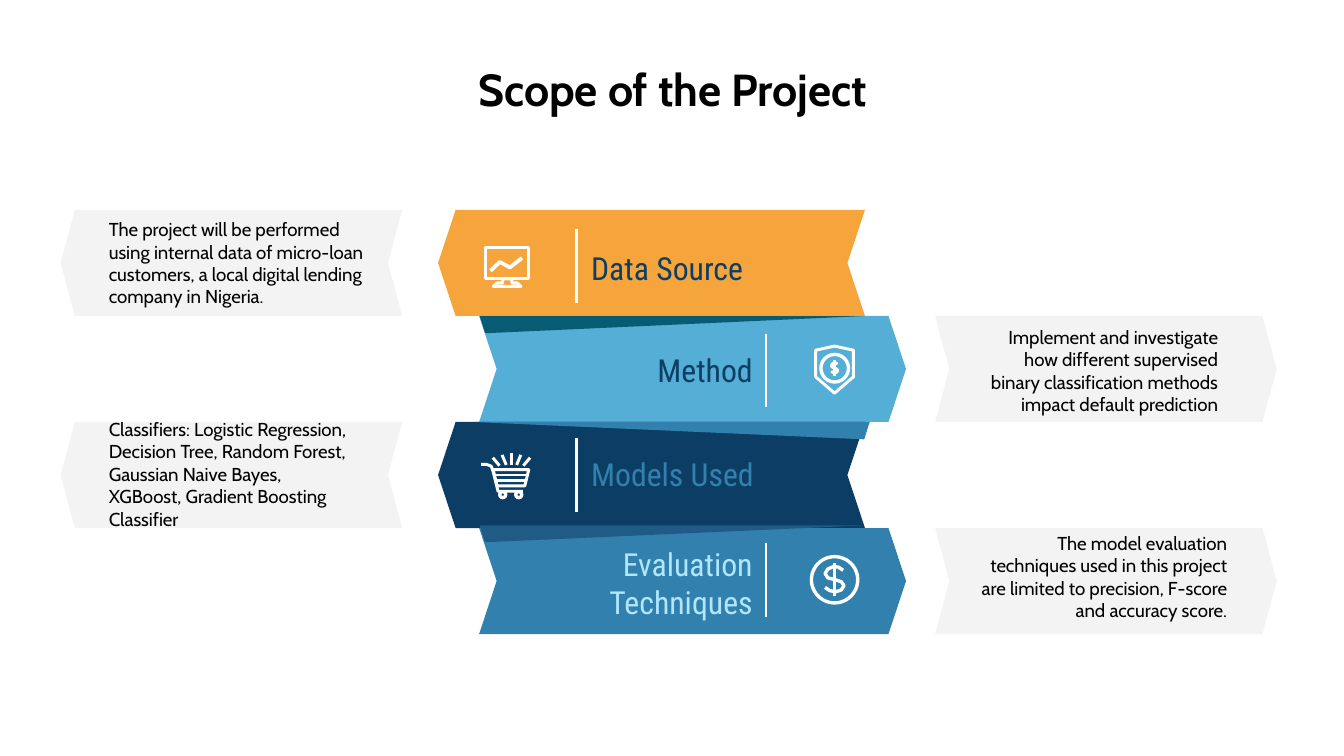
from pptx import Presentation
from pptx.dml.color import RGBColor
from pptx.enum.shapes import MSO_CONNECTOR, MSO_SHAPE
from pptx.enum.text import MSO_ANCHOR, PP_ALIGN
from pptx.oxml.ns import qn
from pptx.util import Pt
from lxml import etree

WHITE = RGBColor(0xFF, 0xFF, 0xFF)
BLACK = RGBColor(0x00, 0x00, 0x00)
GREY = RGBColor(0xF3, 0xF3, 0xF3)
ORANGE = RGBColor(0xF6, 0xA5, 0x3C)
SKY = RGBColor(0x54, 0xAE, 0xD6)
TEAL = RGBColor(0x07, 0x5B, 0x72)
NAVY = RGBColor(0x0C, 0x3E, 0x65)
INK = RGBColor(0x0D, 0x3E, 0x65)
BLUE = RGBColor(0x32, 0x80, 0xAD)
DEEP = RGBColor(0x1F, 0x5B, 0x84)
PALE = RGBColor(0xB0, 0xE6, 0xFF)
LEFT, RIGHT = PP_ALIGN.LEFT, PP_ALIGN.RIGHT

prs = Presentation()
prs.slide_width, prs.slide_height = Pt(720), Pt(405)
s = prs.slides.add_slide(prs.slide_layouts[5])


def add_path(points, fill=None, width=None, close=True):
    pts = [(Pt(x), Pt(y)) for x, y in points]
    fb = s.shapes.build_freeform(*pts[0], scale=1.0)
    fb.add_line_segments(pts[1:], close=close)
    sp = fb.convert_to_shape()
    sp.shadow.inherit = False
    if fill is None:
        sp.fill.background()
        sp.line.color.rgb = WHITE
        sp.line.width = Pt(width)
    else:
        sp.fill.solid()
        sp.fill.fore_color.rgb = fill
        sp.line.fill.background()


def add_text(box, text, font, size, color, align, left=7.2, right=7.2):
    tf = s.shapes.add_textbox(*[Pt(v) for v in box]).text_frame
    tf.word_wrap = True
    tf.vertical_anchor = MSO_ANCHOR.MIDDLE
    tf.margin_left, tf.margin_right = Pt(left), Pt(right)
    tf.margin_top = tf.margin_bottom = Pt(7.2)
    p = tf.paragraphs[0]
    p.text = text
    p.alignment = align
    p.font.name, p.font.size, p.font.color.rgb = font, Pt(size), color


title = s.shapes.title
title.left, title.top, title.width, title.height = Pt(14.4), Pt(24.5), Pt(692), Pt(45.4)
tf = title.text_frame
tf.vertical_anchor = MSO_ANCHOR.MIDDLE
p = tf.paragraphs[0]
p.text = "Scope of the Project"
p.alignment = PP_ALIGN.CENTER
p.font.name, p.font.size, p.font.bold, p.font.color.rgb = "Cabin", Pt(24), True, BLACK

TOP, ROW = 112.5, 56.8
rows = [
    ("Data Source", 126.7, ORANGE, INK, None, None,
     "The project will be performed using internal data of micro-loan customers, "
     "a local digital lending company in Nigeria.", (36.7, 121, 183, 39.6), 21.6),
    ("Method", 181.4, SKY, INK, TEAL, [(257, 169.3), (259.9, 178.5), (463, 169.3)],
     "Implement and investigate how different supervised binary classification "
     "methods impact default prediction", (513.4, 178.6, 160.6, 39.6), 7.2),
    ("Models Used", 236.9, NAVY, BLUE, BLUE, [(253.5, 226.1), (463, 235.4), (465.9, 226.1)],
     "Classifiers: Logistic Regression, Decision Tree, Random Forest, Gaussian Naive Bayes, "
     "XGBoost, Gradient Boosting Classifier", (36.7, 234, 170.6, 39.6), 21.6),
    ("Evaluation Techniques", 295.2, BLUE, PALE, DEEP, [(257, 281.5), (259.9, 290.5), (463, 281.5)],
     "The model evaluation techniques used in this project are limited to precision, "
     "F-score and accuracy score.", (501.1, 292, 177.8, 33.8), 21.6),
]

lines = []
for i, (label, label_y, color, ink, fold_color, fold, note, note_box, inset) in enumerate(rows):
    y = TOP + i * ROW
    to_right = i % 2 == 1
    card_x, banner_x, label_x, rule_x = (501, 256.7, 259.2, 410.4) if to_right else (32.5, 234.7, 309.6, 308.9)
    align = RIGHT if to_right else LEFT
    for x, w, tip, fill in [(card_x, 183, 7.6, GREY), (banner_x, 228.7, 9.4, color)]:
        pts = [(tip, 0), (0, ROW / 2), (tip, ROW), (w, ROW), (w - tip, ROW / 2), (w, 0)]
        add_path([(x + (w - dx if to_right else dx), y + dy) for dx, dy in pts], fill)
    if fold:
        add_path(fold, fold_color)
    add_text(note_box, note, "Cabin", 10, BLACK, align, inset, 21.6)
    add_text((label_x, label_y, 151.2, 33.8), label, "Roboto Condensed", 17, ink, align)
    rule_y = 122.6 + i * 56.1
    lines.append((rule_x, rule_y, rule_x, rule_y + 39.6, 1.2))

monitor = [(260.3, 132.8), (283.3, 132.8), (283.3, 149.4), (260.3, 149.4)]
stand = [(264.2, 153.4), (266.4, 151.6), (269.3, 151.6), (269.3, 149.4),
         (274.3, 149.4), (274.3, 151.6), (277.2, 151.6), (279.1, 153.4)]
trend = [(262.8, 145.1), (267.8, 140.4), (273.2, 143.3), (279.7, 138.2)]
cart = [(257.8, 248.8), (260.6, 248.8), (263.2, 249.8), (264.2, 252.7), (266.8, 263.2), (280.1, 263.2)]
basket = [(264.2, 251.6), (283.3, 251.6), (281.2, 260.3), (266.4, 260.3)]
shield = [(447.1, 185.4), (457.2, 187.6), (457.2, 201.9), (447.1, 210.6), (437, 201.9), (437, 187.6)]
for pts, width, close in [(monitor, 1.7, True), (stand, 1.6, True), (trend, 2, False),
                          (cart, 1.6, False), (basket, 1.6, True), (shield, 1.6, True)]:
    add_path(pts, width=width, close=close)

S_CURVE = [(0.9, -0.7), (0.4, -0.95), (-0.1, -1), (-0.7, -0.8), (-1, -0.45), (-0.7, -0.1), (0, 0.03),
           (0.7, 0.2), (1, 0.5), (0.7, 0.85), (0.1, 1), (-0.5, 0.9), (-1, 0.65)]
for x, y, rx, ry, bar, width in [(447.1, 197.1, 1.8, 2.8, 4.4, 1.4), (447.1, 310.3, 5.1, 6.8, 8.8, 1.8)]:
    add_path([(x + rx * dx, y + ry * dy) for dx, dy in S_CURVE], width=width, close=False)
    lines.append((x, y - bar, x, y + bar, width))

for x, y, d in [(447.2, 197.3, 14.8), (447.1, 310.6, 24.8), (269.3, 265, 3.2), (277.9, 265, 3.2)]:
    sp = s.shapes.add_shape(MSO_SHAPE.OVAL, Pt(x - d / 2), Pt(y - d / 2), Pt(d), Pt(d))
    sp.shadow.inherit = False
    sp.fill.background()
    sp.line.color.rgb = WHITE
    sp.line.width = Pt(1.8)

lines += [(265, 254.5, 282.2, 254.5, 1.5), (265, 257.4, 281.5, 257.4, 1.5), (274, 242.6, 274, 249.1, 1.6)]
for side in (-1, 1):
    for near, far, y1, y2 in [(2.8, 5, 243.7, 249.1), (6.4, 10, 245.2, 249.5)]:
        lines.append((274 + side * far, y1, 274 + side * near, y2, 1.6))

for x1, y1, x2, y2, width in lines:
    line = s.shapes.add_connector(MSO_CONNECTOR.STRAIGHT, Pt(x1), Pt(y1), Pt(x2), Pt(y2))
    line.line.color.rgb = WHITE
    line.line.width = Pt(width)
    etree.SubElement(line._element.spPr, qn("a:effectLst"))

prs.save("out.pptx")
